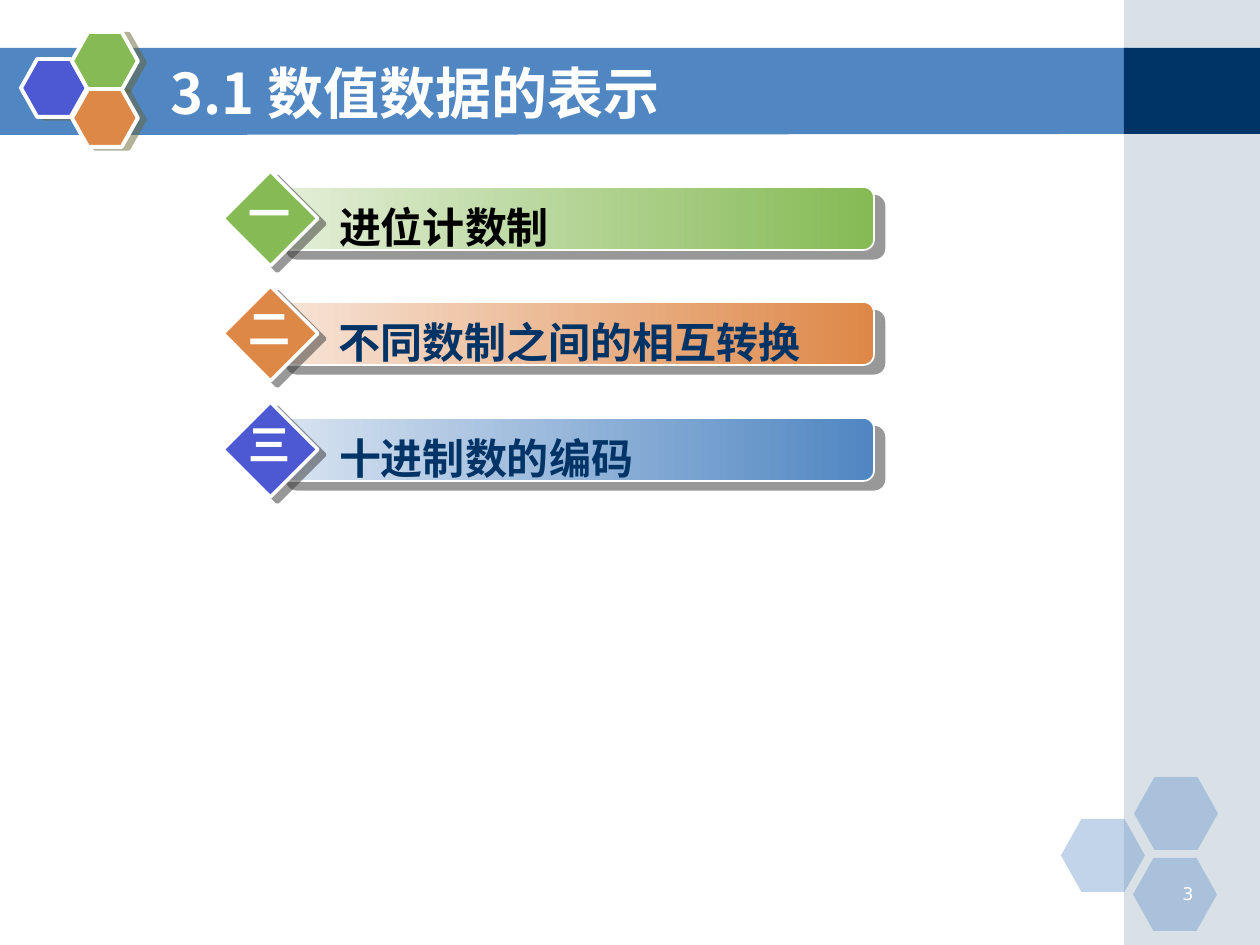
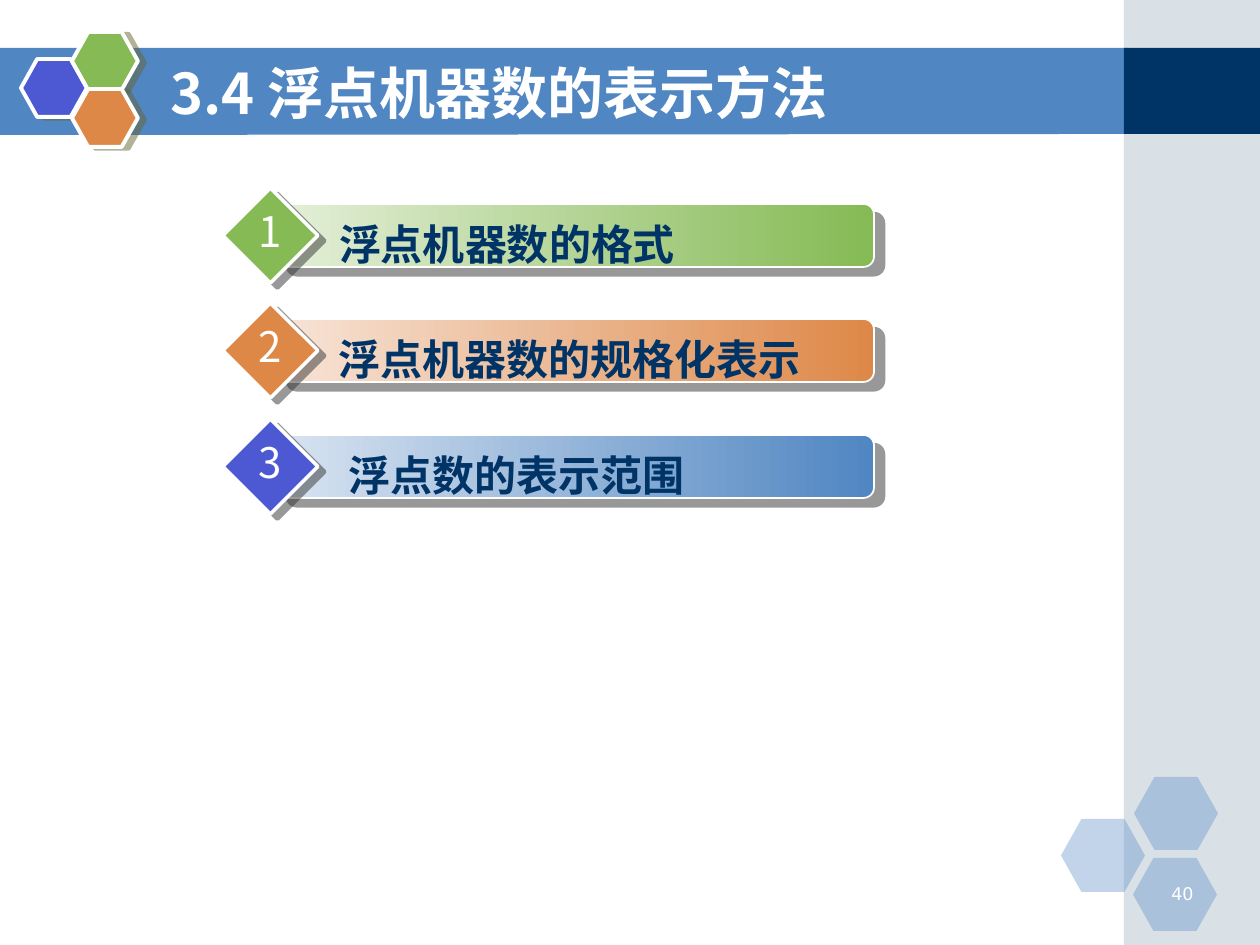
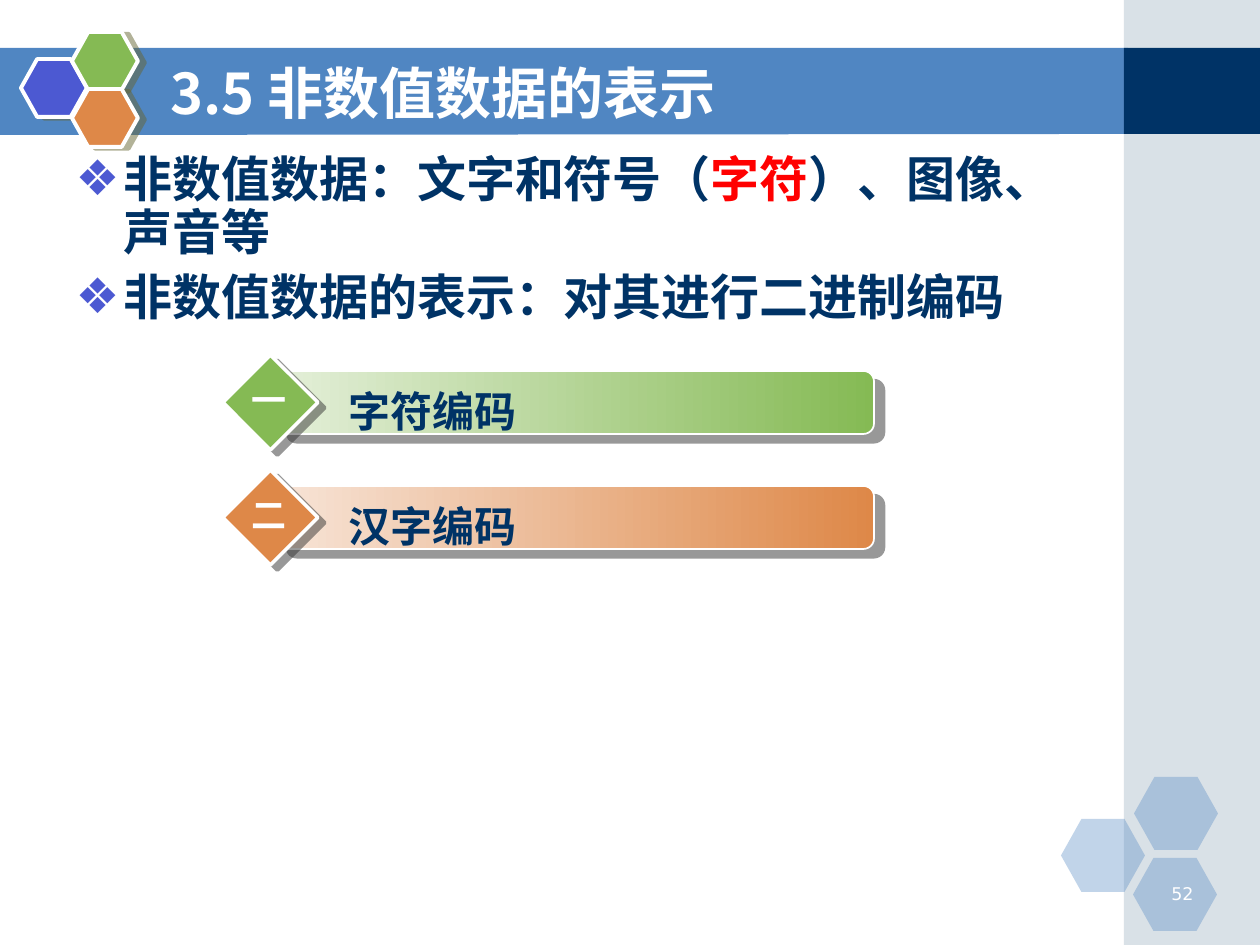
import pptx
import pptx.util
import pptx.dml.color
import pptx.enum.shapes
import pptx.enum.text
import pptx.oxml
import pptx.oxml.ns
import lxml.etree

RGB = pptx.dml.color.RGBColor
KIND = pptx.enum.shapes.MSO_SHAPE
ALIGN = pptx.enum.text.PP_ALIGN
FIT = pptx.enum.text.MSO_AUTO_SIZE
qn = pptx.oxml.ns.qn
Pt = pptx.util.Pt

PX = 914400 / 126
WHITE = RGB(255, 255, 255)
BLACK = RGB(0, 0, 0)
RED = RGB(255, 0, 0)
NAVY = RGB(0x00, 0x33, 0x66)
BLUE = RGB(0x50, 0x86, 0xC2)
STEEL = RGB(0xA0, 0xB5, 0xC4)
VIOLET = RGB(0x4C, 0x59, 0xD2)
GREEN = RGB(0x85, 0xBA, 0x54)
ORANGE = RGB(0xDE, 0x88, 0x48)
OLIVE = RGB(0x66, 0x66, 0x33)
GREY = RGB(0x33, 0x33, 0x33)

CJK = "Noto Sans CJK SC"
TITLE = {"name": CJK, "size": Pt(32), "bold": True}
BODY = {"name": CJK, "size": Pt(28), "bold": True}
ITEM = {"name": CJK, "size": Pt(24), "bold": True}
LATIN = {"name": "Arial", "size": Pt(24), "bold": True}
DIGIT = {"name": CJK, "size": Pt(24), "bold": False}
SMALL = {"name": CJK, "size": Pt(20), "bold": True}
PAGE = {"name": "DejaVu Sans", "size": Pt(10), "bold": False}

# Diamond colour, dark and pale end of the bar
TONES = [
    (GREEN, GREEN, RGB(0xE4, 0xEF, 0xD9)),
    (ORANGE, ORANGE, RGB(0xF7, 0xE4, 0xD7)),
    (VIOLET, BLUE, RGB(0xD9, 0xE4, 0xF1)),
]
STEP = 115.5

# Each item: mark, text, colour, font, left gap
# Mark box: font, width, height, offset from the bar's top
SLIDES = [
    {"title": "3.1 数值数据的表示", "page": "3", "top": 187, "body": [],
     "mark": (ITEM, 67, 63, -6),
     "items": [("一", "进位计数制", BLACK, ITEM, 19),
               ("二", "不同数制之间的相互转换", NAVY, ITEM, 19),
               ("三", "十进制数的编码", NAVY, ITEM, 19)]},
    {"title": "3.4 浮点机器数的表示方法", "page": "40", "top": 204, "body": [],
     "mark": (DIGIT, 49, 63, -5),
     "items": [("1", "浮点机器数的格式", NAVY, ITEM, 19),
               ("2", "浮点机器数的规格化表示", NAVY, ITEM, 19),
               ("3", "浮点数的表示范围", NAVY, LATIN, 28)]},
    {"title": "3.5 非数值数据的表示", "page": "52", "top": 371,
     "body": [[("非数值数据：文字和符号（", NAVY), ("字符", RED),
               ("）、图像、声音等", NAVY)],
              [("非数值数据的表示：对其进行二进制编码", NAVY)]],
     "mark": (SMALL, 60, 55, 1),
     "items": [("一", "字符编码", NAVY, LATIN, 28),
               ("二", "汉字编码", NAVY, LATIN, 28)]},
]


def draw(shape, fill, alpha=100, line=0, shade=None):
    """Fill with a colour or a list of two; shade is (colour, points away, degrees)."""
    shape.shadow.inherit = False
    if isinstance(fill, list):
        shape.fill.gradient()
        shape.fill.gradient_angle = 180
        for stop, tone in zip(shape.fill.gradient_stops, fill):
            stop.color.rgb = tone
    else:
        shape.fill.solid()
        shape.fill.fore_color.rgb = fill
    props = shape.element.spPr
    if alpha < 100:
        tint = props.find(".//" + qn("a:srgbClr"))
        lxml.etree.SubElement(tint, qn("a:alpha"), val=str(alpha * 1000))
    if line:
        shape.line.color.rgb = WHITE
        shape.line.width = Pt(line)
    else:
        shape.line.fill.background()
    if shade:
        tone, dist, turn = shade
        cast = lxml.etree.SubElement(
            props.find(qn("a:effectLst")), qn("a:outerShdw"),
            dist=str(int(Pt(dist))), dir=str(turn * 60000), algn="ctr", rotWithShape="0")
        tint = lxml.etree.SubElement(cast, qn("a:srgbClr"), val=str(tone))
        lxml.etree.SubElement(tint, qn("a:alpha"), val="50000")


def write(para, text, form, ink):
    run = para.add_run()
    run.text = text
    run.font.color.rgb = ink
    for key, value in form.items():
        setattr(run.font, key, value)
    lxml.etree.SubElement(run._r.get_or_add_rPr(), qn("a:ea"), typeface=CJK)


deck = pptx.Presentation()
deck.slide_width = round(1260 * PX)
deck.slide_height = round(945 * PX)

for page in SLIDES:
    slide = deck.slides.add_slide(deck.slide_layouts[1 if page["body"] else 5])
    shapes = slide.shapes

    # Band, side panel and hexagons
    pen = shapes.build_freeform(-1, 48, scale=PX)
    pen.add_line_segments([(1128, 48), (1128, 134), (-1, 135)], close=True)
    draw(pen.convert_to_shape(), BLUE)
    olive = (OLIVE, 4.1, 14)
    parts = [
        (KIND.RECTANGLE, (1124, 0, 136, 945), STEEL, 40, 0, None),
        (KIND.RECTANGLE, (1124, 48, 136, 86), NAVY, 100, 0, None),
    ]
    for x, y in [(1061, 819), (1134, 777), (1133, 858)]:
        parts.append((KIND.HEXAGON, (x, y, 84, 73), BLUE, 35, 0, None))
    for x, y, tone in [(21, 59, VIOLET), (72, 32, GREEN), (72, 89, ORANGE)]:
        parts.append((KIND.HEXAGON, (x, y, 66, 58), tone, 100, 2.25, olive))

    # Bars with their diamonds
    labels = []
    form, wide, high, shift = page["mark"]
    for row, (mark, text, ink, font, gap) in enumerate(page["items"]):
        top = int(page["top"] + row * STEP)
        tone, dark, pale = TONES[row]
        parts.append((KIND.ROUNDED_RECTANGLE, (276, top, 598, 63), [dark, pale],
                      100, 1, (GREY, 7.8, 40)))
        parts.append((KIND.DIAMOND, (223, top - 16, 95, 95), tone,
                      100, 2, (GREY, 5, 37)))
        span = 542 if len(text) > 10 else 473
        labels.append((text, (307, top + 8, span, 63), font, ink, ALIGN.LEFT, gap, True))
        labels.append((mark, (269 - wide // 2, top + shift, wide, high),
                       form, WHITE, ALIGN.CENTER, 0, False))
    labels.append((page["page"], (1143, 877, 63, 32), PAGE, WHITE, ALIGN.RIGHT, 0, True))

    for kind, box, fill, alpha, line, shade in parts:
        shape = shapes.add_shape(kind, *[round(n * PX) for n in box])
        if kind == KIND.HEXAGON:
            shape.adjustments[0] = 0.28
        draw(shape, fill, alpha, line, shade)

    for text, box, font, ink, align, gap, wrap in labels:
        frame = shapes.add_textbox(*[round(n * PX) for n in box]).text_frame
        frame.word_wrap = wrap
        frame.margin_left = round((13 + gap) * PX)
        frame.paragraphs[0].alignment = align
        write(frame.paragraphs[0], text, font, ink)

    # Placeholders go in front of the band
    held = [(shapes.title, (158, 53, 924, 78))]
    if page["body"]:
        held.append((slide.placeholders[1], (63, 149, 977, 205)))
    for holder, box in held:
        shapes.element.append(holder.element)
        for side, n in zip(("left", "top", "width", "height"), box):
            setattr(holder, side, round(n * PX))
        holder.text_frame.auto_size = FIT.NONE
    para = shapes.title.text_frame.paragraphs[0]
    para.alignment = ALIGN.LEFT
    write(para, page["title"], TITLE, WHITE)

    for row, runs in enumerate(page["body"]):
        frame = slide.placeholders[1].text_frame
        para = frame.add_paragraph() if row else frame.paragraphs[0]
        para.line_spacing = 0.9
        para.space_before = Pt(7)
        props = para._p.get_or_add_pPr()
        props.set("marL", str(round(48 * PX)))
        props.set("indent", str(round(-48 * PX)))
        tint = lxml.etree.SubElement(props, qn("a:buClr"))
        lxml.etree.SubElement(tint, qn("a:srgbClr"), val=str(VIOLET))
        lxml.etree.SubElement(props, qn("a:buChar"), char="❖")
        for text, ink in runs:
            write(para, text, BODY, ink)

deck.save("out.pptx")
